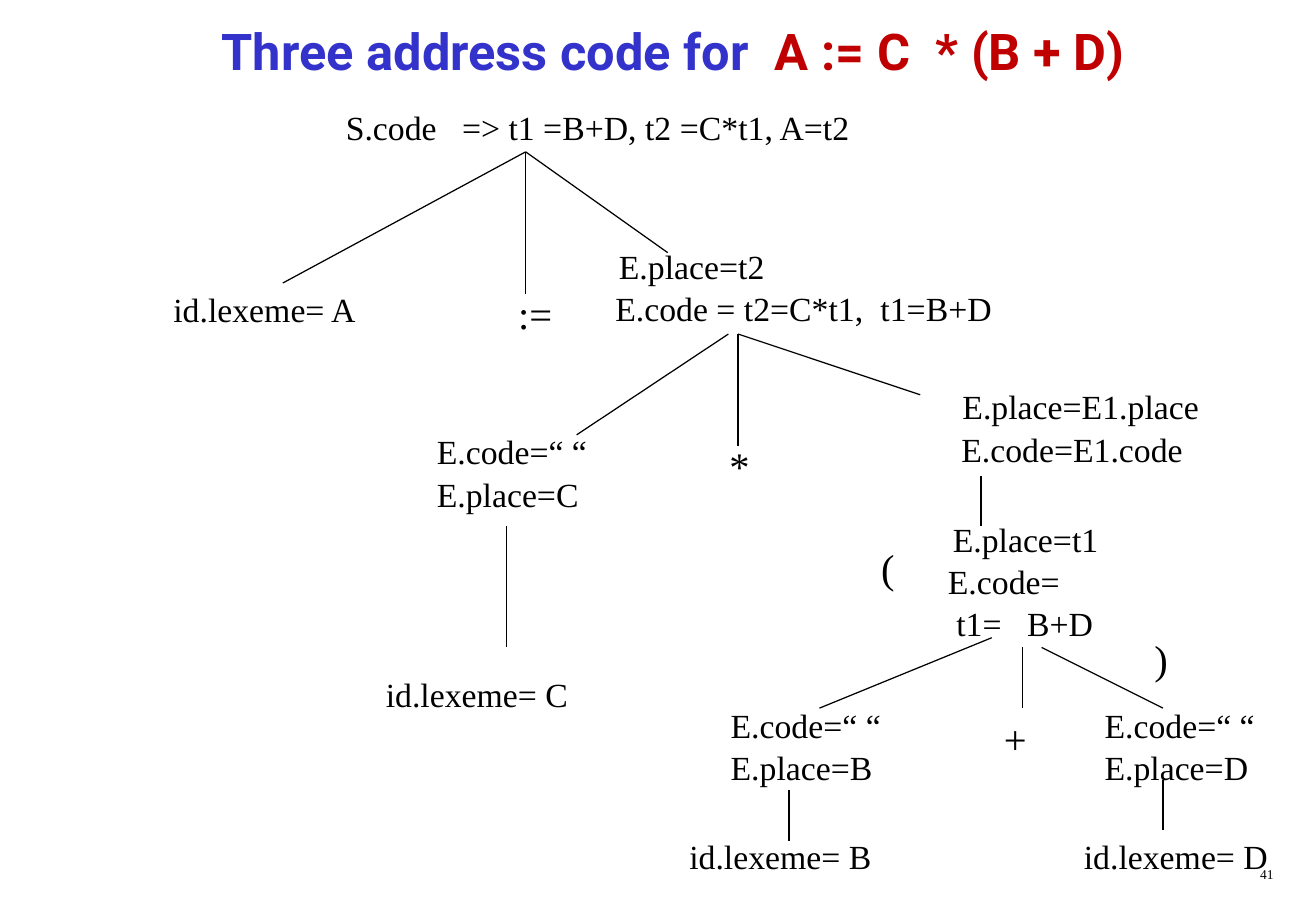
from lxml.etree import SubElement
from pptx import Presentation
from pptx.dml.color import RGBColor
from pptx.enum.shapes import MSO_CONNECTOR
from pptx.enum.text import MSO_ANCHOR, PP_ALIGN
from pptx.oxml.ns import qn
from pptx.util import Inches, Pt

THEME = {
    "ink": RGBColor(0, 0, 0),
    "title": {"name": "Roboto", "size": Pt(30), "bold": True},
    "title_blue": RGBColor(0x33, 0x33, 0xCC),
    "title_red": RGBColor(0xC0, 0, 0),
    "node": {"name": "Times New Roman", "size": Pt(20)},
    "operator": {"name": "Times New Roman", "size": Pt(24)},
    "number": {"name": "Times New Roman", "size": Pt(8)},
    "line_width": Pt(0.75),
    "space_em": 0.25,
}

# In a line of text, a number stands for a gap that many spaces wide.
TITLE = [("Three address code for", 2), ("A := C", 2, "* (B + D)")]
PAGE_NUMBER = "41"

# left, top, width, lines; a line is (indent, parts)
NODES = [
    (2.75, 0.83, 6.5, [(0, ("S.code", 3, "=> t1 =B+D, t2 =C*t1, A=t2"))]),
    (1.33, 2.33, 2, [(0, ("id.lexeme= A",))]),
    (4.97, 1.97, 5.2, [(0.03, ("E.place=t2",)),
                       (0, ("E.code = t2=C*t1,", 2, "t1=B+D"))]),
    (3.5, 3.5, 2, [(0, ("E.code=“ “",)), (0, ("E.place=C",))]),
    (3.08, 5.5, 2, [(0, ("id.lexeme= C",))]),
    (7.82, 3.13, 3, [(0.01, ("E.place=E1.place",)),
                     (0, ("E.code=E1.code",))]),
    (7.71, 4.22, 1.7, [(0.04, ("E.place=t1",)), (0, ("E.code=",)),
                       (0.07, ("t1=", 3, "B+D"))]),
    (5.92, 5.75, 1.8, [(0, ("E.code=“ “",)), (0, ("E.place=B",))]),
    (9, 5.75, 1.8, [(0, ("E.code=“ “",)), (0, ("E.place=D",))]),
    (5.58, 6.83, 2, [(0, ("id.lexeme= B",))]),
    (8.83, 6.83, 2, [(0, ("id.lexeme= D",))]),
]

OPERATORS = [
    (":=", 4.17, 2.33), ("*", 5.91, 3.58), ("(", 7.16, 4.42),
    (")", 9.41, 5.17), ("+", 8.17, 5.83),
]

# parent point, then the points of its children
BRANCHES = [
    ((4.33, 1.25), [(2.33, 2.33), (4.33, 2.42), (5.5, 2.08)]),
    ((6, 2.75), [(4.75, 3.58)]),
    ((6.08, 2.75), [(6.08, 3.67), (7.58, 3.25)]),
    ((4.17, 4.33), [(4.17, 5.33)]),
    ((8.08, 3.92), [(8.08, 4.33)]),
    ((8.17, 5.25), [(6.75, 5.83)]),
    ((8.42, 5.33), [(8.42, 5.83)]),
    ((8.58, 5.33), [(9.58, 5.83)]),
    ((6.5, 6.5), [(6.5, 6.92)]),
    ((9.58, 6.42), [(9.58, 6.83)]),
]


def set_all(target, values):
    for name, value in values.items():
        setattr(target, name, value)


def add_box(page, left, top, width, height, **frame_values):
    box = page.shapes.add_textbox(*map(Inches, (left, top, width, height)))
    set_all(box.text_frame, {"word_wrap": True, **frame_values})
    return box.text_frame


def add_parts(para, parts, style, color):
    """Write text parts; a number becomes one space widened by tracking."""
    for part in parts:
        is_gap = isinstance(part, int)
        span = para.add_run()
        span.text = " " if is_gap else part
        set_all(span.font, style)
        span.font.color.rgb = color
        if is_gap:
            extra = (part - 1) * THEME["space_em"] * style["size"].pt
            span.font._element.set("spc", str(round(extra * 100)))


def add_title(page):
    frame = add_box(page, 0.42, 0.2, 10.25, 0.42,
                    vertical_anchor=MSO_ANCHOR.MIDDLE,
                    margin_top=0, margin_bottom=0)
    para = frame.paragraphs[0]
    para.alignment = PP_ALIGN.CENTER
    for parts, color in zip(TITLE, ("title_blue", "title_red")):
        add_parts(para, parts, THEME["title"], THEME[color])


def add_node(page, left, top, width, lines):
    frame = add_box(page, left, top, width, 0.1 + 0.34 * len(lines))
    for index, (indent, parts) in enumerate(lines):
        para = frame.add_paragraph() if index else frame.paragraphs[0]
        if index:
            para.space_before = Pt(1)
        para._p.get_or_add_pPr().set("marL", str(Inches(indent)))
        add_parts(para, parts, THEME["node"], THEME["ink"])


def add_operator(page, symbol, left, top):
    frame = add_box(page, left, top, 0.6, 0.5)
    add_parts(frame.paragraphs[0], (symbol,), THEME["operator"], THEME["ink"])


def add_branch(page, parent, child):
    branch = page.shapes.add_connector(
        MSO_CONNECTOR.STRAIGHT, *map(Inches, (*parent, *child)))
    branch.line.color.rgb = THEME["ink"]
    branch.line.width = THEME["line_width"]
    SubElement(branch._element.spPr, qn("a:effectLst"))


def add_page_number(page):
    para = add_box(page, 8.33, 7.08, 2.26, 0.25).paragraphs[0]
    para.alignment = PP_ALIGN.RIGHT
    add_parts(para, (PAGE_NUMBER,), THEME["number"], THEME["ink"])


def main():
    deck = Presentation()
    set_all(deck, {"slide_width": Inches(10.84), "slide_height": Inches(7.5)})
    page = deck.slides.add_slide(deck.slide_layouts[6])
    add_title(page)
    add_page_number(page)
    for node in NODES:
        add_node(page, *node)
    for operator in OPERATORS:
        add_operator(page, *operator)
    for parent, children in BRANCHES:
        for child in children:
            add_branch(page, parent, child)
    deck.save("out.pptx")


if __name__ == "__main__":
    main()
